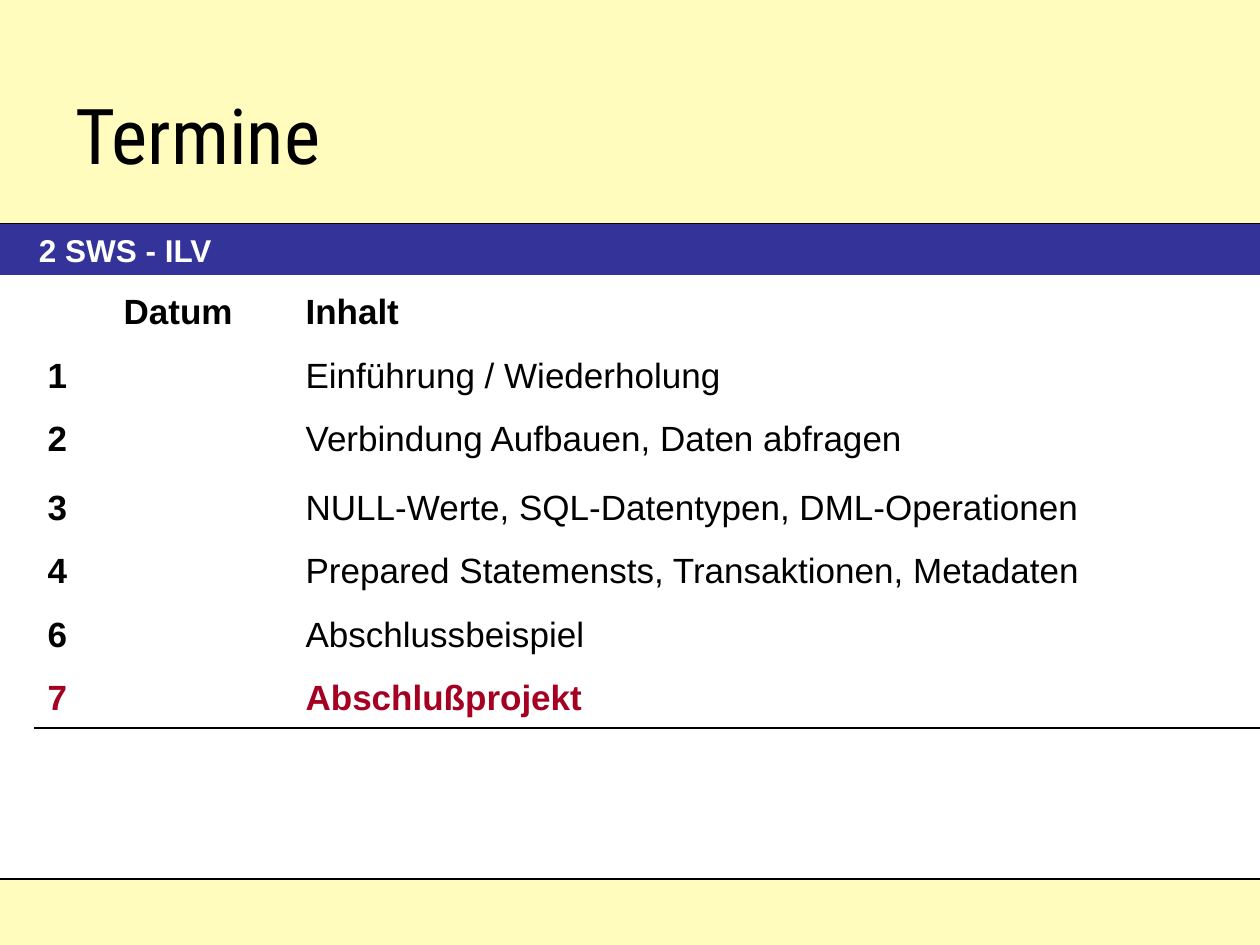
"""Build the course schedule slide."""
import pptx
import pptx.dml.color
import pptx.enum.shapes
import pptx.enum.text
import pptx.oxml
import pptx.oxml.ns
import pptx.util

TITLE = "Termine"
BAND = "2 SWS - ILV"
HEADER = ("", "Datum", "Inhalt")
SESSIONS = [
    ("1", "", "Einführung / Wiederholung"),
    ("2", "", "Verbindung Aufbauen, Daten abfragen"),
    ("3", "", "NULL-Werte, SQL-Datentypen, DML-Operationen"),
    ("4", "", "Prepared Statemensts, Transaktionen, Metadaten"),
    ("6", "", "Abschlussbeispiel"),
    ("7", "", "Abschlußprojekt"),
]
COLUMN_WIDTHS = [76, 182, 967]
ROW_HEIGHTS = [63, 63, 69, 63, 63, 63, 67]
CREAM, NAVY, RED, BLACK, WHITE = "FFFCBD", "333399", "A50021", "000000", "FFFFFF"
WIDTH, HEIGHT = 1260, 945
HEAD_BOTTOM, BAND_HEIGHT, FOOT_TOP = 224, 51, 879


def px(length):
    return round(length * 914400 / 126)


def box(*lengths):
    return [px(length) for length in lengths]


def rgb(value):
    return pptx.dml.color.RGBColor.from_string(value)


def write(frame, text, size=20, font="Arial", color=BLACK, bold=False, spacing=None):
    paragraph = frame.paragraphs[0]
    paragraph.alignment = pptx.enum.text.PP_ALIGN.LEFT
    paragraph.line_spacing = spacing
    run = paragraph.add_run()
    run.text = text
    run.font.size = pptx.util.Pt(size)
    run.font.name = font
    run.font.bold = bold
    run.font.color.rgb = rgb(color)


def add_bar(shapes, top, height, color):
    bar = shapes.add_shape(pptx.enum.shapes.MSO_SHAPE.RECTANGLE, *box(0, top, WIDTH, height))
    bar.shadow.inherit = False
    bar.fill.solid()
    bar.fill.fore_color.rgb = rgb(color)
    bar.line.fill.background()
    return bar


def add_rule(shapes, y):
    rule = shapes.add_connector(pptx.enum.shapes.MSO_CONNECTOR.STRAIGHT, *box(0, y, WIDTH, y))
    rule.line.color.rgb = rgb(BLACK)
    rule.line.width = pptx.util.Pt(0.75)
    rule._element.spPr.append(pptx.oxml.parse_xml(
        f"<a:effectLst {pptx.oxml.ns.nsdecls('a')}/>"))


def underline(cell):
    cell._tc.get_or_add_tcPr().insert(0, pptx.oxml.parse_xml(
        f'<a:lnB {pptx.oxml.ns.nsdecls("a")} w="12700"><a:solidFill>'
        f'<a:srgbClr val="{BLACK}"/></a:solidFill></a:lnB>'))


def add_schedule(shapes):
    rows = [HEADER] + SESSIONS
    schedule = shapes.add_table(
        len(rows), len(HEADER),
        *box(35, HEAD_BOTTOM + BAND_HEIGHT, sum(COLUMN_WIDTHS), sum(ROW_HEIGHTS))).table
    schedule.first_row = schedule.horz_banding = False
    for column, width in zip(schedule.columns, COLUMN_WIDTHS):
        column.width = px(width)
    for r, (entries, height) in enumerate(zip(rows, ROW_HEIGHTS)):
        schedule.rows[r].height = px(height)
        final = r == len(rows) - 1
        for c, entry in enumerate(entries):
            cell = schedule.cell(r, c)
            cell.fill.background()
            underline(cell)
            if entry:
                write(cell.text_frame, entry, spacing=1.3, color=RED if final else BLACK,
                      bold=r == 0 or c == 0 or final)


def main():
    deck = pptx.Presentation()
    deck.slide_width, deck.slide_height = box(WIDTH, HEIGHT)
    slide = deck.slides.add_slide(deck.slide_layouts[5])
    shapes = slide.shapes

    add_bar(shapes, 0, HEAD_BOTTOM, CREAM)
    add_bar(shapes, FOOT_TOP, HEIGHT - FOOT_TOP, CREAM)
    for y in (HEAD_BOTTOM, FOOT_TOP):
        add_rule(shapes, y)

    title = shapes.title
    title.left, title.top, title.width, title.height = box(63, 55, 746, 158)
    title.text_frame.vertical_anchor = pptx.enum.text.MSO_ANCHOR.MIDDLE
    write(title.text_frame, TITLE, size=44, font="Roboto Condensed")
    shapes._spTree.append(title._element)

    add_schedule(shapes)

    band = add_bar(shapes, HEAD_BOTTOM, BAND_HEIGHT, NAVY)
    band.text_frame.margin_left = px(39)
    band.text_frame.vertical_anchor = pptx.enum.text.MSO_ANCHOR.MIDDLE
    write(band.text_frame, BAND, size=18, color=WHITE, bold=True)

    deck.save("out.pptx")


if __name__ == "__main__":
    main()
